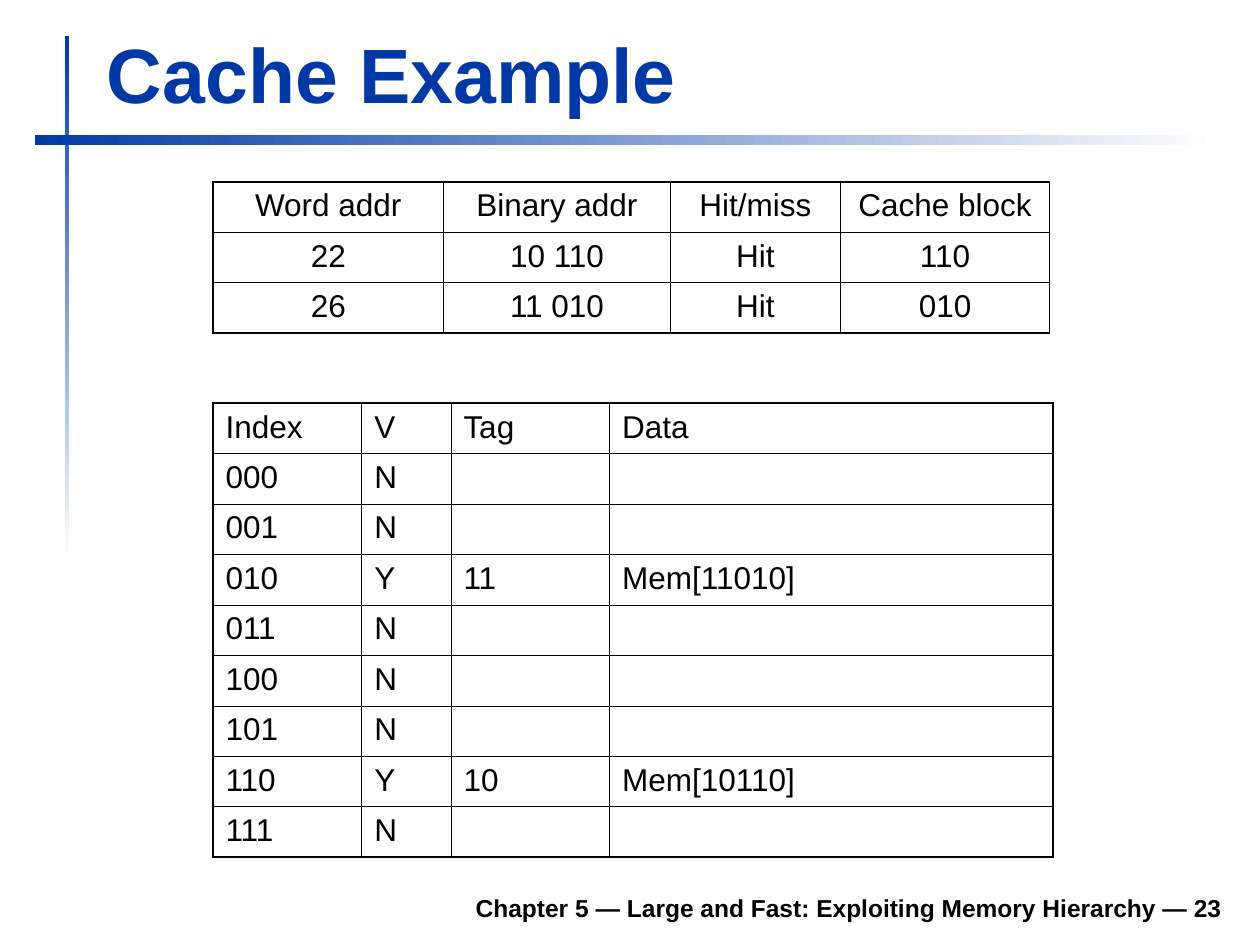
from pptx import Presentation
from pptx.dml.color import RGBColor as RGB
from pptx.enum.shapes import MSO_SHAPE as Shape
from pptx.enum.text import MSO_ANCHOR as Anchor, PP_ALIGN as Align
from pptx.oxml import parse_xml
from pptx.oxml.ns import nsdecls
from pptx.util import Pt

TITLE = "Cache Example"
FOOTER = "Chapter 5 — Large and Fast: Exploiting Memory Hierarchy — 23"
ACCESSES = [
    ("Word addr", "Binary addr", "Hit/miss", "Cache block"),
    ("22", "10 110", "Hit", "110"),
    ("26", "11 010", "Hit", "010"),
]
CACHED_TAGS = {"010": "11", "110": "10"}
CACHE = [("Index", "V", "Tag", "Data")]
for index in (f"{number:03b}" for number in range(8)):
    tag = CACHED_TAGS.get(index, "")
    CACHE.append((index, "Y" if tag else "N", tag, f"Mem[{tag}{index}]" if tag else ""))

THEME = {
    "font": "Arial", "accent": "0039A6", "ink": "000000", "paper": "FFFFFF",
    "title": 44, "cell": 18, "footer": 14,
    "outer": 1.08, "rule": 0.75, "inner": 0.45,
}
TABLE_LEFT, ROW_HEIGHT = 121.7, 28.8


def style(paragraph, size, color, align=Align.LEFT, bold=False):
    paragraph.alignment = align
    font = paragraph.font
    font.name, font.size, font.bold = THEME["font"], Pt(size), bold
    font.color.rgb = RGB.from_string(color)


def add_bar(slide, box, angle):
    bar = slide.shapes.add_shape(Shape.RECTANGLE, *map(Pt, box))
    bar.shadow.inherit = False
    bar.line.fill.background()
    bar.fill.gradient()
    bar.fill.gradient_angle = angle
    for stop, position, color in zip(bar.fill.gradient_stops, (0, 1), ("accent", "paper")):
        stop.position = position
        stop.color.rgb = RGB.from_string(THEME[color])


def add_label(slide, box, text, size, color, align):
    frame = slide.shapes.add_textbox(*map(Pt, box)).text_frame
    frame.word_wrap = True
    frame.vertical_anchor = Anchor.BOTTOM
    frame.text = text
    style(frame.paragraphs[0], size, color, align, bold=True)


def set_borders(cell, widths):
    properties = cell._tc.get_or_add_tcPr()
    for side, width in widths.items():
        properties.append(parse_xml(
            f'<a:ln{side} {nsdecls("a")} w="{Pt(width)}"><a:solidFill>'
            f'<a:srgbClr val="{THEME["ink"]}"/></a:solidFill></a:ln{side}>'))


def add_grid(slide, top, rows, widths, align, row_rule):
    grid = slide.shapes.add_table(
        len(rows), len(widths), Pt(TABLE_LEFT), Pt(top),
        Pt(sum(widths)), Pt(ROW_HEIGHT * len(rows))).table
    grid.first_row = grid.horz_banding = False
    for column, width in zip(grid.columns, widths):
        column.width = Pt(width)
    outer, inner = THEME["outer"], THEME["inner"]
    verticals = [outer] + [inner] * (len(widths) - 1) + [outer]
    horizontals = [outer, THEME["rule"]] + [row_rule] * (len(rows) - 2) + [outer]
    for r, values in enumerate(rows):
        grid.rows[r].height = Pt(ROW_HEIGHT)
        for c, value in enumerate(values):
            cell = grid.cell(r, c)
            cell.text = value
            paragraph = cell.text_frame.paragraphs[0]
            paragraph.space_before = Pt(4.5)
            style(paragraph, THEME["cell"], THEME["ink"], align)
            set_borders(cell, {"L": verticals[c], "R": verticals[c + 1],
                               "T": horizontals[r], "B": horizontals[r + 1]})
            cell.fill.background()


def main():
    """Build the cache example slide and save it."""
    deck = Presentation()
    deck.slide_width, deck.slide_height = Pt(720), Pt(540)
    slide = deck.slides.add_slide(deck.slide_layouts[6])
    add_bar(slide, (36.9, 20.4, 2.7, 300), 270)
    add_bar(slide, (19.8, 77, 674.6, 5.8), 0)
    add_label(slide, (133.2, 502.6, 572.4, 28), FOOTER,
              THEME["footer"], THEME["ink"], Align.RIGHT)
    add_label(slide, (54, 11.5, 650, 59.8), TITLE,
              THEME["title"], THEME["accent"], Align.LEFT)
    add_grid(slide, 230.4, CACHE, (85, 51, 90.7, 253.4), Align.LEFT, THEME["inner"])
    add_grid(slide, 103.9, ACCESSES, (131.8, 129.6, 97.2, 119.5), Align.CENTER, THEME["rule"])
    deck.save("out.pptx")


if __name__ == "__main__":
    main()
